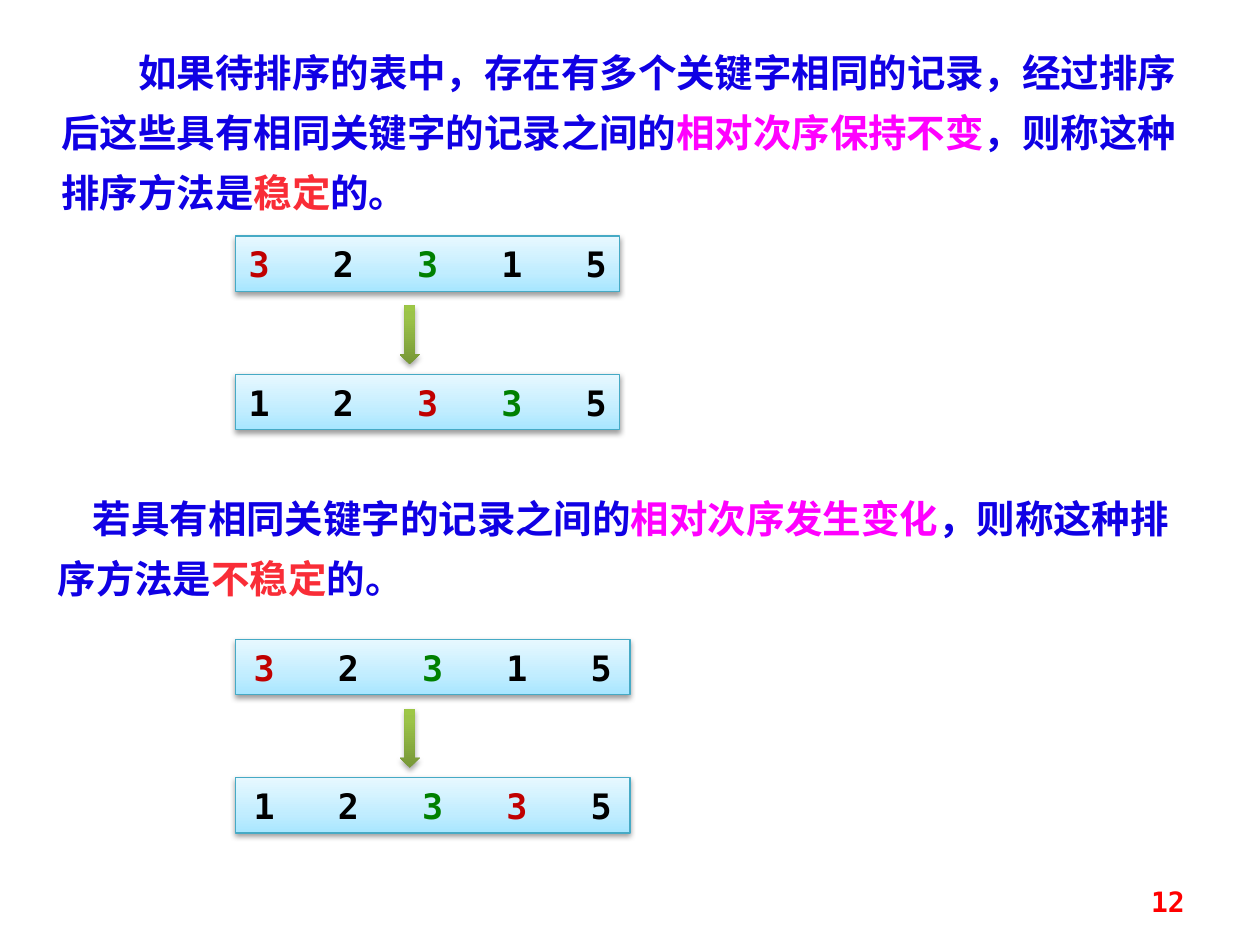
"""Build a slide that explains stable and unstable sorting."""
from dataclasses import dataclass

from lxml import etree
from pptx import Presentation
from pptx.dml.color import RGBColor
from pptx.enum.shapes import MSO_SHAPE
from pptx.enum.text import MSO_ANCHOR, PP_ALIGN
from pptx.oxml.ns import qn
from pptx.util import Pt

RECT, DOWN_ARROW = MSO_SHAPE.RECTANGLE, MSO_SHAPE.DOWN_ARROW
LEFT, RIGHT, MIDDLE = PP_ALIGN.LEFT, PP_ALIGN.RIGHT, MSO_ANCHOR.MIDDLE

BLUE = RGBColor(0x10, 0x00, 0xE4)
MAGENTA = RGBColor(0xFF, 0x00, 0xFF)
CORAL = RGBColor(0xF9, 0x2D, 0x37)
RED = RGBColor(0xFF, 0x00, 0x00)
DARK_RED = RGBColor(0xC0, 0x00, 0x00)
GREEN = RGBColor(0x00, 0x80, 0x00)
BLACK = RGBColor(0x00, 0x00, 0x00)
BORDER = RGBColor(0x46, 0xAA, 0xC5)
ROW_STOPS = (
    (0, RGBColor(0xA7, 0xE6, 0xFF)),
    (35, RGBColor(0xC1, 0xED, 0xFF)),
    (100, RGBColor(0xE7, 0xF8, 0xFF)),
)
ARROW_STOPS = (
    (0, RGBColor(0x77, 0x97, 0x37)),
    (80, RGBColor(0x9B, 0xC3, 0x48)),
    (100, RGBColor(0x9D, 0xC7, 0x46)),
)

FONT = "DejaVu Sans Mono"
ROW_LEFT, ROW_HEIGHT, ROW_PITCH = 134.6, 31.7, 79
ARROW_WIDTH, ARROW_HEIGHT, ARROW_DX, ARROW_DY = 11.5, 33.8, 93.8, 39.6
DIGIT_WIDTH, DIGIT_PITCH = 12.04, 48.16


@dataclass
class Span:
    text: str
    color: RGBColor


@dataclass
class Definition:
    left: float
    top: float
    height: float
    indent: float
    spans: list[Span]


@dataclass
class Example:
    top: float
    width: float
    rows: list[list[Span]]


FIRST_3, SECOND_3 = Span("3", DARK_RED), Span("3", GREEN)
ONE, TWO, FIVE = (Span(n, BLACK) for n in "125")
UNSORTED = [FIRST_3, TWO, SECOND_3, ONE, FIVE]

DEFINITIONS = [
    Definition(28.1, 16.6, 107.3, 44, [
        Span("如果待排序的表中，存在有多个关键字相同的记录，"
             "经过排序后这些具有相同关键字的记录之间的", BLUE),
        Span("相对次序保持不变", MAGENTA),
        Span("，则称这种排序方法是", BLUE),
        Span("稳定", CORAL),
        Span("的。", BLUE),
    ]),
    Definition(25.9, 271.4, 76.3, 20, [
        Span("若具有相同关键字的记录之间的", BLUE),
        Span("相对次序发生变化", MAGENTA),
        Span("，则称这种排序方法是", BLUE),
        Span("不稳定", CORAL),
        Span("的。", BLUE),
    ]),
]
EXAMPLES = [
    Example(134.9, 219.6, [UNSORTED, [ONE, TWO, FIRST_3, SECOND_3, FIVE]]),
    Example(365.4, 225.4, [UNSORTED, [ONE, TWO, SECOND_3, FIRST_3, FIVE]]),
]


def add_span(p, span: Span, size: float, prefix: str = "") -> None:
    """Append one bold coloured run to a paragraph."""
    r = p.add_run()
    r.text = prefix + span.text
    for name, value in {"name": FONT, "size": Pt(size), "bold": True}.items():
        setattr(r.font, name, value)
    r.font.color.rgb = span.color


def add_color(parent, color: RGBColor):
    """Append an RGB colour element and return it."""
    return etree.SubElement(parent, qn("a:srgbClr"), val=str(color))


def style_shape(sp, stops: tuple, opacity: int, distance: float) -> None:
    """Give a shape an upward gradient and a soft shadow below it."""
    sp.fill.gradient()
    sp.fill.gradient_angle = 90
    gs_lst = sp._element.spPr.find(".//" + qn("a:gsLst"))
    for gs in list(gs_lst):
        gs_lst.remove(gs)
    for pos, color in stops:
        add_color(etree.SubElement(gs_lst, qn("a:gs"), pos=str(pos * 1000)), color)
    sp.shadow.inherit = False
    effects = sp._element.spPr.find(qn("a:effectLst"))
    shadow = etree.SubElement(
        effects, qn("a:outerShdw"), blurRad=str(Pt(3.1)), dist=str(Pt(distance)),
        dir="5400000", rotWithShape="0")
    etree.SubElement(add_color(shadow, BLACK), qn("a:alpha"), val=str(opacity * 1000))


def add_definition(shapes, item: Definition) -> None:
    """Draw one definition with an indented first line."""
    sp = shapes.add_textbox(Pt(item.left), Pt(item.top), Pt(660.2), Pt(item.height))
    tf = sp.text_frame
    tf.word_wrap = True
    p = tf.paragraphs[0]
    p.line_spacing = 1.3
    p._p.get_or_add_pPr().set("indent", str(Pt(item.indent)))
    for span in item.spans:
        add_span(p, span, 22)


def add_row(shapes, top: float, width: float, digits: list[Span]) -> None:
    """Draw one box of digits spaced evenly by tab stops."""
    sp = shapes.add_shape(RECT, Pt(ROW_LEFT), Pt(top), Pt(width), Pt(ROW_HEIGHT))
    style_shape(sp, ROW_STOPS, 38, 1.6)
    sp.line.color.rgb = BORDER
    sp.line.width = Pt(0.75)
    gaps = len(digits) - 1
    margin = Pt((width - gaps * DIGIT_PITCH - DIGIT_WIDTH) / 2)
    tf = sp.text_frame
    frame = {"word_wrap": True, "vertical_anchor": MIDDLE,
             "margin_left": margin, "margin_right": 0}
    for name, value in frame.items():
        setattr(tf, name, value)
    p = tf.paragraphs[0]
    p.alignment = LEFT
    tabs = etree.SubElement(p._p.get_or_add_pPr(), qn("a:tabLst"))
    for i in range(1, gaps + 1):
        etree.SubElement(tabs, qn("a:tab"), pos=str(Pt(i * DIGIT_PITCH)), algn="l")
    for i, digit in enumerate(digits):
        add_span(p, digit, 20, "\t" if i else "")


def add_example(shapes, item: Example) -> None:
    """Draw the rows before and after sorting, joined by an arrow."""
    group = shapes.add_group_shape().shapes
    for i, digits in enumerate(item.rows):
        add_row(group, item.top + i * ROW_PITCH, item.width, digits)
    sp = group.add_shape(DOWN_ARROW, Pt(ROW_LEFT + ARROW_DX), Pt(item.top + ARROW_DY),
                         Pt(ARROW_WIDTH), Pt(ARROW_HEIGHT))
    style_shape(sp, ARROW_STOPS, 35, 1.8)
    sp.line.fill.background()


def add_page_number(shapes, number: str) -> None:
    """Draw the page number at the bottom right."""
    tf = shapes.add_textbox(Pt(516), Pt(500.4), Pt(168), Pt(28.8)).text_frame
    tf.word_wrap = True
    tf.vertical_anchor = MIDDLE
    p = tf.paragraphs[0]
    p.alignment = RIGHT
    add_span(p, Span(number, RED), 16)


def main() -> None:
    """Assemble and save the slide."""
    prs = Presentation()
    prs.slide_width, prs.slide_height = Pt(720), Pt(540)
    s = prs.slides.add_slide(prs.slide_layouts[6])
    for definition in DEFINITIONS:
        add_definition(s.shapes, definition)
    for example in EXAMPLES:
        add_example(s.shapes, example)
    add_page_number(s.shapes, "12")
    prs.save("out.pptx")


if __name__ == "__main__":
    main()
